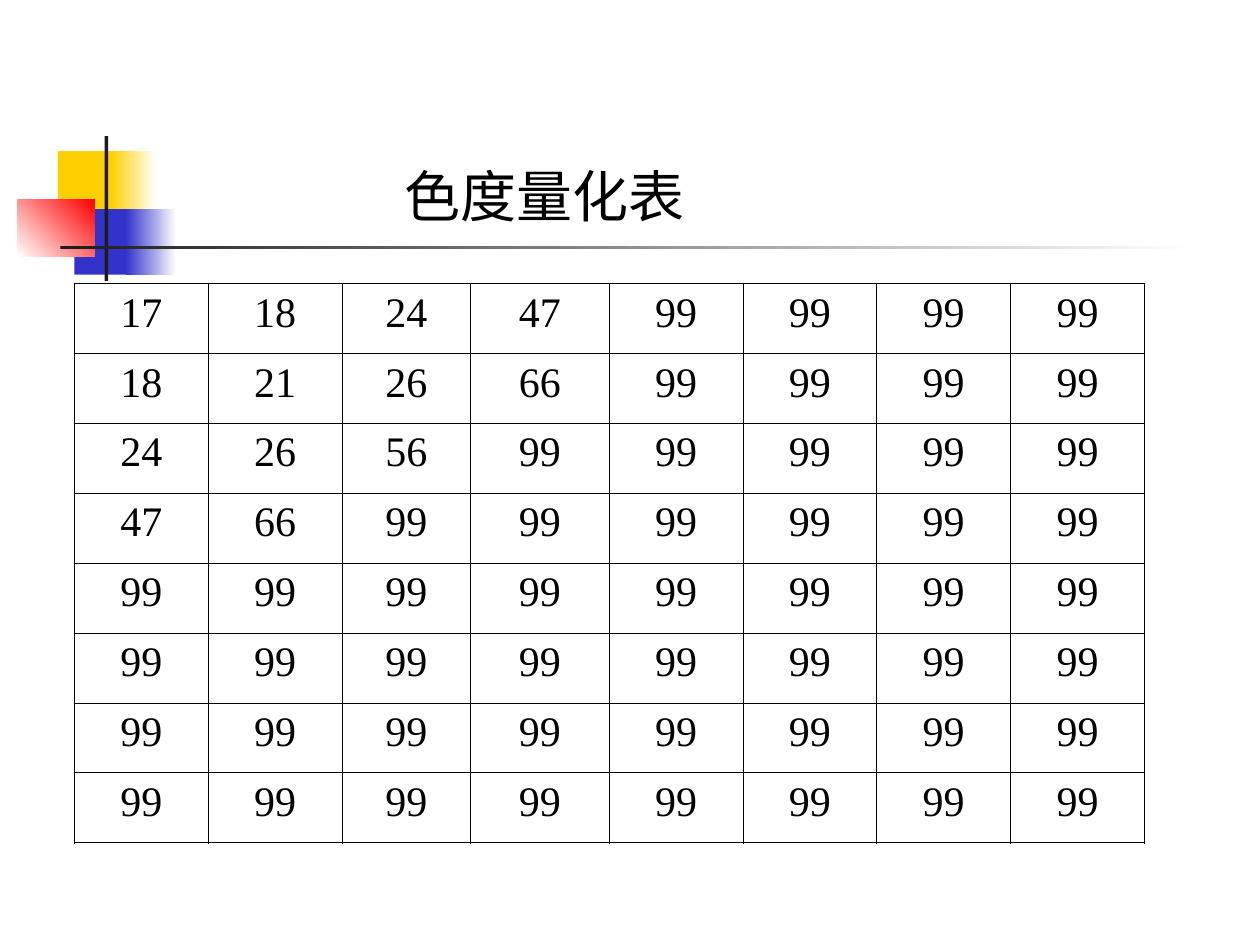
import pptx
import pptx.dml.color
import pptx.enum.shapes
import pptx.enum.text
import pptx.oxml
import pptx.oxml.ns
import pptx.util

WIDTH, HEIGHT = 10, 7.5
FONT = "Times New Roman"
BLACK, WHITE, INK = "000000", "FFFFFF", "1C1C1C"
YELLOW, BLUE, RED = "FFCF01", "3333CC", "FF0000"
THIN, THICK = 0.45, 1.08
SIZE = 8
CHROMA_START = [[17, 18, 24, 47], [18, 21, 26, 66], [24, 26, 56], [47, 66]]
FILLER = 99


def color(value):
    """Turn a hex string into a colour."""
    return pptx.dml.color.RGBColor.from_string(value)


def inches(*values):
    """Convert numbers to a list of lengths."""
    return [pptx.util.Inches(value) for value in values]


def add_run(paragraph, text, size):
    """Append a black run in the slide's font."""
    run = paragraph.add_run()
    run.text = text
    run.font.name = FONT
    run.font.size = pptx.util.Pt(size)
    run.font.color.rgb = color(BLACK)


def add_block(slide, box, first, last=None, angle=0):
    """Add a borderless rectangle with a solid or a gradient fill."""
    shape = slide.shapes.add_shape(
        pptx.enum.shapes.MSO_SHAPE.RECTANGLE, *inches(*box))
    shape.shadow.inherit = False
    shape.line.fill.background()
    if last is None:
        shape.fill.solid()
        shape.fill.fore_color.rgb = color(first)
        return
    shape.fill.gradient()
    shape.fill.gradient_angle = angle
    for stop, value in zip(shape.fill.gradient_stops, (first, last)):
        stop.color.rgb = color(value)


def add_ornament(slide):
    """Add the coloured blocks with the crossing bars."""
    add_block(slide, (0.46, 1.2, 0.48, 0.52), YELLOW)
    add_block(slide, (0.88, 1.2, 0.36, 0.52), YELLOW, WHITE)
    add_block(slide, (0.59, 1.66, 0.46, 0.52), BLUE)
    add_block(slide, (1, 1.66, 0.4, 0.52), BLUE, WHITE)
    add_block(slide, (0.14, 1.58, 0.61, 0.46), WHITE, RED, 45)
    add_block(slide, (0.83, 1.08, 0.03, 1.15), INK)
    add_block(slide, (0.48, 1.95, 0.9 * WIDTH, 0.03), INK, WHITE)


def set_title(slide, text):
    """Place and fill the title placeholder."""
    title = slide.shapes.title
    title.left, title.top, title.width, title.height = inches(3.11, 1.23, 4.17, 0.64)
    frame = title.text_frame
    frame.word_wrap = True
    frame.auto_size = pptx.enum.text.MSO_AUTO_SIZE.SHAPE_TO_FIT_TEXT
    frame.vertical_anchor = pptx.enum.text.MSO_ANCHOR.TOP
    paragraph = frame.paragraphs[0]
    paragraph.alignment = pptx.enum.text.PP_ALIGN.LEFT
    add_run(paragraph, text, 32)


def set_borders(cell, row, column):
    """Draw thick lines on the table's outside and thin lines within."""
    outside = {"lnL": column == 0, "lnR": column == SIZE - 1,
               "lnT": row == 0, "lnB": row == SIZE - 1}
    properties = cell._tc.get_or_add_tcPr()
    for tag, is_outside in outside.items():
        width = pptx.util.Pt(THICK if is_outside else THIN)
        properties.append(pptx.oxml.parse_xml(
            f'<a:{tag} {pptx.oxml.ns.nsdecls("a")} w="{width}"><a:solidFill>'
            f'<a:srgbClr val="{BLACK}"/></a:solidFill></a:{tag}>'))


def add_quantization_table(slide):
    """Add the square table, padding each row with the filler value."""
    width, height = 0.85 * WIDTH, 4.44
    table = slide.shapes.add_table(
        SIZE, SIZE, *inches(0.59, 0.3 * HEIGHT, width, height)).table
    table.first_row = table.horz_banding = False
    narrow_and_wide = {2: 1.02, 3: 1.1}
    for index, column in enumerate(table.columns):
        column.width = pptx.util.Inches(narrow_and_wide.get(index, width / SIZE))
    for row in range(SIZE):
        start = CHROMA_START[row] if row < len(CHROMA_START) else []
        values = start + [FILLER] * (SIZE - len(start))
        for column, value in enumerate(values):
            cell = table.cell(row, column)
            set_borders(cell, row, column)
            cell.fill.background()
            paragraph = cell.text_frame.paragraphs[0]
            paragraph.alignment = pptx.enum.text.PP_ALIGN.CENTER
            add_run(paragraph, str(value), 24)


def main():
    """Build and save the slide."""
    presentation = pptx.Presentation()
    presentation.slide_width, presentation.slide_height = inches(WIDTH, HEIGHT)
    slide = presentation.slides.add_slide(presentation.slide_layouts[5])
    add_ornament(slide)
    add_quantization_table(slide)
    set_title(slide, "色度量化表")
    presentation.save("out.pptx")


if __name__ == "__main__":
    main()
